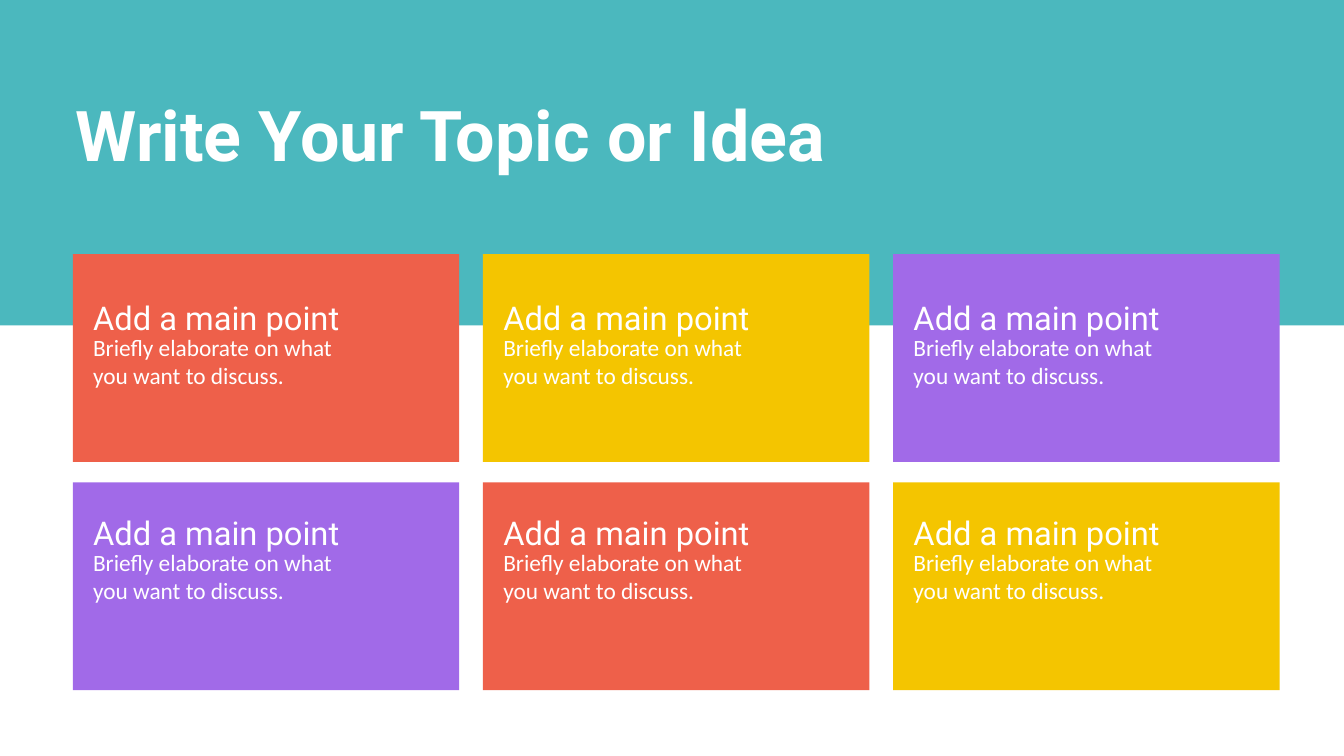
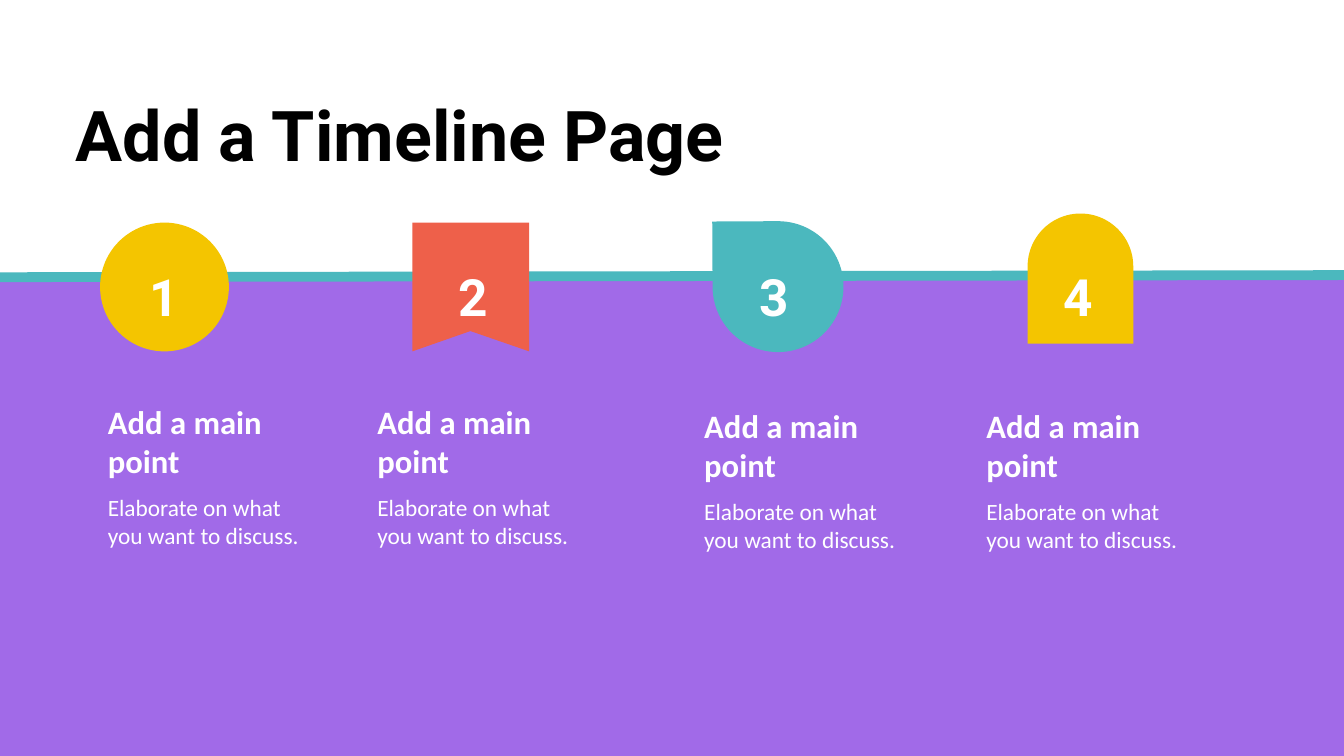
from dataclasses import dataclass

import pptx
import pptx.dml.color
import pptx.enum.shapes
import pptx.enum.text
import pptx.oxml
import pptx.oxml.ns
import pptx.presentation
import pptx.shapes.base
import pptx.slide
import pptx.util

EMU_PER_PX = 9525
SLIDE_WIDTH, SLIDE_HEIGHT = 1920, 1080
BLANK_LAYOUT = 6
SHAPE = pptx.enum.shapes.MSO_SHAPE

COLOURS = {
    "teal": "4BB8BE",
    "coral": "EE604A",
    "yellow": "F4C500",
    "purple": "A16AE8",
    "white": "FFFFFF",
    "black": "000000",
}


@dataclass(frozen=True)
class Frame:
    left: int
    top: int
    width: int
    height: int

    def emu(self) -> tuple[int, int, int, int]:
        return px(self.left), px(self.top), px(self.width), px(self.height)


@dataclass(frozen=True)
class TextStyle:
    font: str
    size: int
    bold: bool = False
    line_spacing: float | None = None


@dataclass(frozen=True)
class Step:
    number: str
    number_left: int
    text_left: int
    text_top: int


TITLE = TextStyle("Roboto", 75, True, 1.2)
CARD_HEADING = TextStyle("Roboto", 35, False, 1.2)
STEP_NUMBER = TextStyle("Roboto", 55, True, 1.2)
STEP_HEADING = TextStyle("Calibri", 35, True)
BODY = TextStyle("Calibri", 25)

CARD_ROWS = (("coral", "yellow", "purple"), ("purple", "coral", "yellow"))
CARD_PITCH_X, CARD_PITCH_Y = 586, 326
CARD_TEXT_PITCH_Y = 307

STEPS = (
    Step("1", 213, 154, 574),
    Step("2", 655, 539, 574),
    Step("3", 1085, 1006, 580),
    Step("4", 1519, 1409, 580),
)


def px(length: int) -> int:
    return pptx.util.Emu(length * EMU_PER_PX)


def colour(name: str) -> pptx.dml.color.RGBColor:
    return pptx.dml.color.RGBColor.from_string(COLOURS[name])


def paint(shape: pptx.shapes.base.BaseShape, fill: str) -> None:
    """Give a shape a flat fill with no outline or shadow."""
    shape.shadow.inherit = False
    shape.fill.solid()
    shape.fill.fore_color.rgb = colour(fill)
    shape.line.fill.background()


def add_block(page: pptx.slide.Slide, frame: Frame, fill: str,
              kind: SHAPE = SHAPE.RECTANGLE) -> pptx.shapes.base.BaseShape:
    block = page.shapes.add_shape(kind, *frame.emu())
    paint(block, fill)
    return block


def add_text(page: pptx.slide.Slide, frame: Frame, lines: tuple[str, ...],
             style: TextStyle, text_colour: str = "white") -> None:
    """Add a text box without margins, one paragraph for each line."""
    box = page.shapes.add_textbox(*frame.emu())
    text = box.text_frame
    text.word_wrap = True
    text.auto_size = pptx.enum.text.MSO_AUTO_SIZE.SHAPE_TO_FIT_TEXT
    text.margin_left = text.margin_top = text.margin_right = text.margin_bottom = 0
    for index, line in enumerate(lines):
        para = text.add_paragraph() if index else text.paragraphs[0]
        if style.line_spacing:
            para.line_spacing = style.line_spacing
        span = para.add_run()
        span.text = line
        span.font.name = style.font
        span.font.size = pptx.util.Pt(style.size)
        span.font.bold = style.bold
        span.font.color.rgb = colour(text_colour)


def add_title(page: pptx.slide.Slide, title: str, width: int, text_colour: str) -> None:
    add_text(page, Frame(108, 107, width, 121), (title,), TITLE, text_colour)


def add_page(deck: pptx.presentation.Presentation) -> pptx.slide.Slide:
    return deck.slides.add_slide(deck.slide_layouts[BLANK_LAYOUT])


def add_card(page: pptx.slide.Slide, row: int, column: int, fill: str) -> None:
    shift = column * CARD_PITCH_X
    text_left, text_top = 133 + shift, 414 + row * CARD_TEXT_PITCH_Y
    add_block(page, Frame(104 + shift, 363 + row * CARD_PITCH_Y, 552, 297), fill)
    add_text(page, Frame(text_left, text_top, 481, 57), ("Add a main point",), CARD_HEADING)
    add_text(page, Frame(text_left, text_top + 62, 481, 81),
             ("Briefly elaborate on what", "you want to discuss."), BODY)


def build_topic_page(deck: pptx.presentation.Presentation) -> None:
    page = add_page(deck)
    add_block(page, Frame(0, 0, SLIDE_WIDTH, 465), "teal")
    add_title(page, "Write Your Topic or Idea", 1192, "white")
    for row, fills in enumerate(CARD_ROWS):
        for column, fill in enumerate(fills):
            add_card(page, row, column, fill)


def add_timeline(page: pptx.slide.Slide) -> None:
    timeline = page.shapes.add_connector(
        pptx.enum.shapes.MSO_CONNECTOR.STRAIGHT, 0, px(396), px(SLIDE_WIDTH), px(393))
    timeline.line.color.rgb = colour("teal")
    timeline.line.width = pptx.util.Pt(10.5)
    properties = timeline._element.spPr
    properties.append(pptx.oxml.parse_xml(f"<a:effectLst {pptx.oxml.ns.nsdecls('a')}/>"))


def add_ribbon(page: pptx.slide.Slide, frame: Frame, fill: str, notch: int) -> None:
    """Add a hanging ribbon whose lower edge is notched in the middle."""
    right, bottom = frame.left + frame.width, frame.top + frame.height
    outline = page.shapes.build_freeform(frame.left, frame.top, scale=EMU_PER_PX)
    outline.add_line_segments((
        (right, frame.top),
        (right, bottom),
        (frame.left + frame.width / 2, bottom - notch),
        (frame.left, bottom),
    ), close=True)
    paint(outline.convert_to_shape(), fill)


def add_markers(page: pptx.slide.Slide) -> None:
    add_block(page, Frame(143, 318, 184, 184), "yellow", SHAPE.OVAL)
    add_ribbon(page, Frame(589, 318, 167, 184), "coral", 29)
    drop = add_block(page, Frame(1018, 316, 187, 187), "teal", SHAPE.TEAR)
    drop.rotation = 269.7
    arch = add_block(page, Frame(1468, 305, 151, 186), "yellow", SHAPE.ROUND_2_SAME_RECTANGLE)
    arch.adjustments[0] = 0.5


def add_step_text(page: pptx.slide.Slide, step: Step) -> None:
    add_text(page, Frame(step.number_left, 361, 62, 86), (step.number,), STEP_NUMBER)
    add_text(page, Frame(step.text_left, step.text_top, 294, 113),
             ("Add a main", "point"), STEP_HEADING)
    add_text(page, Frame(step.text_left, step.text_top + 130, 294, 81),
             ("Elaborate on what", "you want to discuss."), BODY)


def build_timeline_page(deck: pptx.presentation.Presentation) -> None:
    page = add_page(deck)
    add_title(page, "Add a Timeline Page", 934, "black")
    add_block(page, Frame(0, 398, SLIDE_WIDTH, SLIDE_HEIGHT - 398), "purple")
    add_timeline(page)
    add_markers(page)
    for step in STEPS:
        add_step_text(page, step)


def main() -> None:
    deck = pptx.Presentation()
    deck.slide_width, deck.slide_height = px(SLIDE_WIDTH), px(SLIDE_HEIGHT)
    build_topic_page(deck)
    build_timeline_page(deck)
    deck.save("out.pptx")


if __name__ == "__main__":
    main()
